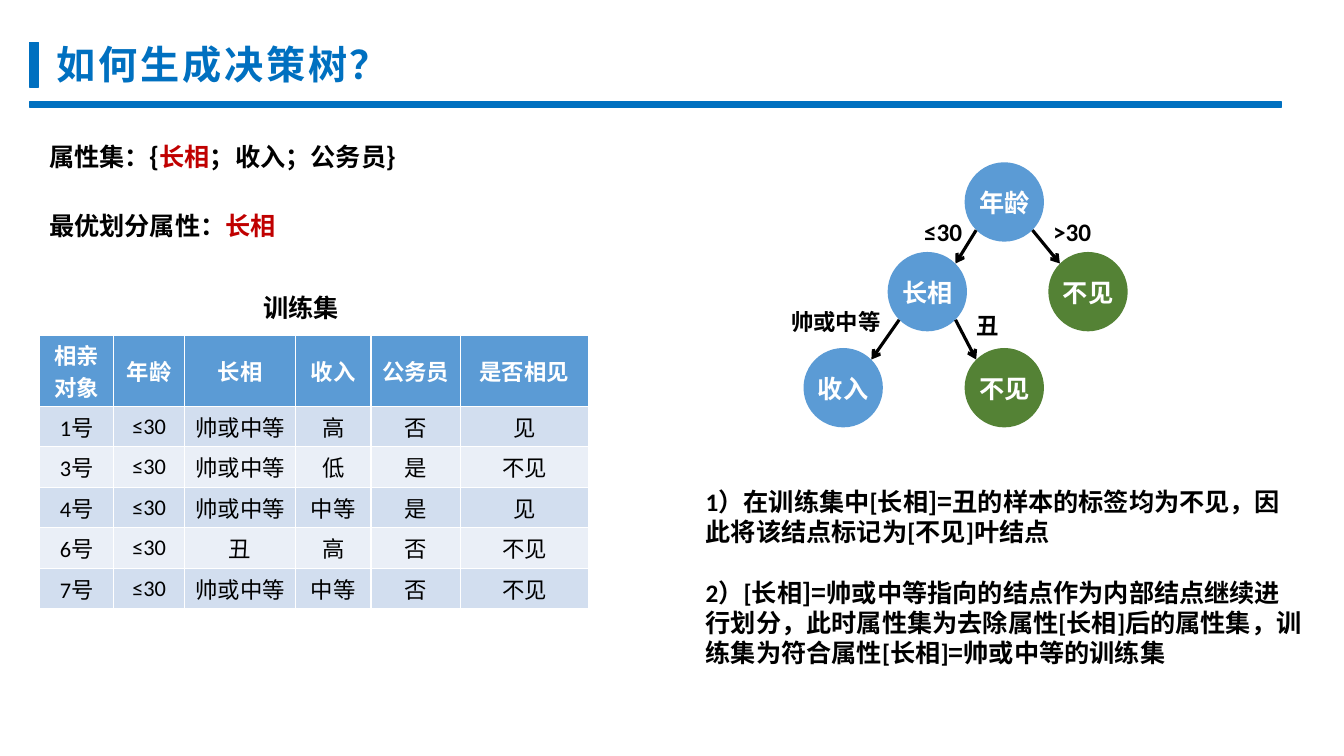
import pptx
import pptx.util
import pptx.dml.color
import pptx.enum.dml
import pptx.enum.lang
import pptx.enum.shapes
import pptx.enum.text
import lxml.etree
from pptx.util import Cm, Pt
from pptx.dml.color import RGBColor

BLUE = RGBColor(0x00, 0x70, 0xC0)
SKY = RGBColor(0x5B, 0x9B, 0xD5)
GREEN = RGBColor(0x54, 0x82, 0x35)
RED = RGBColor(0xC0, 0x00, 0x00)
BLACK = RGBColor(0, 0, 0)
WHITE = RGBColor(0xFF, 0xFF, 0xFF)
BANDS = [RGBColor(0xEA, 0xEF, 0xF7), RGBColor(0xD2, 0xDE, 0xEF)]
LATIN = "Calibri"
HAN = "Noto Sans CJK SC"
ALIGN = pptx.enum.text.PP_ALIGN
ANCHOR = pptx.enum.text.MSO_ANCHOR
SHAPE = pptx.enum.shapes.MSO_SHAPE
NS = "{http://schemas.openxmlformats.org/drawingml/2006/main}"


def write(par, text, size=18, color=BLACK, bold=True, face=LATIN, line=22):
    run = par.add_run()
    run.text = text
    font = run.font
    font.size = Pt(size)
    font.bold = bold
    font.color.rgb = color
    font.name = face
    font.language_id = pptx.enum.lang.MSO_LANGUAGE_ID.SIMPLIFIED_CHINESE
    mark = run._r.get_or_add_rPr()
    mark.find(NS + "latin").addnext(mark.makeelement(NS + "ea", {"typeface": HAN}))
    if line:
        par.line_spacing = Pt(line)
    return run


def add_box(left, top, width, height, wrap=False):
    frame = slide.shapes.add_textbox(Cm(left), Cm(top), Cm(width), Cm(height)).text_frame
    frame.word_wrap = wrap
    return frame.paragraphs[0]


deck = pptx.Presentation()
deck.slide_width = Cm(33.87)
deck.slide_height = Cm(19.05)
slide = deck.slides.add_slide(deck.slide_layouts[1])

for left, top, width, height in [(0.74, 1.07, 0.23, 1.12), (0.74, 2.57, 31.55, 0.13)]:
    bar = slide.shapes.add_shape(SHAPE.RECTANGLE, Cm(left), Cm(top), Cm(width), Cm(height))
    bar.shadow.inherit = False
    bar.fill.solid()
    bar.fill.fore_color.rgb = BLUE
    bar.line.color.rgb = BLUE
    bar.line.width = Pt(1)

title = slide.shapes.title
title.left, title.top, title.width, title.height = Cm(1.17), Cm(0.89), Cm(12), Cm(1.45)
frame = title.text_frame
frame.auto_size = pptx.enum.text.MSO_AUTO_SIZE.NONE
frame.vertical_anchor = ANCHOR.MIDDLE
frame.paragraphs[0].alignment = ALIGN.LEFT
run = write(frame.paragraphs[0], "如何生成决策树？", size=28, color=BLUE, face=HAN, line=None)
run._r.get_or_add_rPr().set("spc", "200")

par = add_box(0.99, 3.43, 9.53, 1.02, wrap=True)
write(par, "属性集：{", face=HAN)
write(par, "长相", color=RED, face=HAN)
write(par, "；收入；公务员}", face=HAN)
par = add_box(0.99, 5.16, 6.53, 1.02)
write(par, "最优划分属性：")
write(par, "长相", color=RED, face=HAN)
write(add_box(6.38, 7.24, 2.54, 1.02), "训练集")

notes = [
    [("1）在训练集中[长相", LATIN), ("]=丑", HAN),
     ("的样本的标签均为不见，因此将该结点标记为[不见]叶结点", LATIN)],
    [("2）[长相", LATIN), ("]=帅或中等", HAN),
     ("指向的结点作为内部结点继续进行划分，此时属性集为去除属性[长相]后的属性集，训练集为符合属性[长相]", LATIN),
     ("=帅或中等", HAN), ("的训练集", LATIN)],
]
body = slide.placeholders[1]
body.left, body.top, body.width, body.height = Cm(17.53), Cm(12.12), Cm(15.54), Cm(4.88)
frame = body.text_frame
frame.auto_size = pptx.enum.text.MSO_AUTO_SIZE.NONE
for i, parts in enumerate(notes):
    par = frame.add_paragraph() if i else frame.paragraphs[0]
    props = par._p.get_or_add_pPr()
    props.set("marL", "0")
    props.set("indent", "0")
    lxml.etree.SubElement(props, NS + "buNone")
    par.space_before = Pt(22 * i)
    for text, face in parts:
        write(par, text, face=face, line=21.6)

SIZE = 2
nodes = [
    ("年龄", 25.31, 5.09, SKY),
    ("长相", 23.37, 7.35, SKY),
    ("不见", 27.42, 7.35, GREEN),
    ("收入", 21.25, 9.77, SKY),
    ("不见", 25.31, 9.77, GREEN),
]
for text, x, y, color in nodes:
    node = slide.shapes.add_shape(
        SHAPE.OVAL, Cm(x - SIZE / 2), Cm(y - SIZE / 2), Cm(SIZE), Cm(SIZE))
    node.shadow.inherit = False
    node.fill.solid()
    node.fill.fore_color.rgb = color
    node.line.fill.background()
    frame = node.text_frame
    frame.word_wrap = False
    frame.margin_left = frame.margin_right = frame.margin_top = frame.margin_bottom = 0
    frame.vertical_anchor = ANCHOR.MIDDLE
    frame.paragraphs[0].alignment = ALIGN.CENTER
    write(frame.paragraphs[0], text, color=WHITE)

edge = SIZE / 2 * 0.71
for start, end in [(0, 1), (0, 2), (1, 3), (1, 4)]:
    x1, y1 = nodes[start][1:3]
    x2, y2 = nodes[end][1:3]
    shift = edge if x2 > x1 else -edge
    arrow = slide.shapes.add_connector(
        pptx.enum.shapes.MSO_CONNECTOR.STRAIGHT,
        Cm(x1 + shift), Cm(y1 + edge), Cm(x2 - shift), Cm(y2 - edge))
    arrow.line.color.rgb = BLACK
    arrow.line.width = Pt(2.25)
    lxml.etree.SubElement(arrow.line._get_or_add_ln(), NS + "tailEnd", type="arrow")
    lxml.etree.SubElement(arrow._element.spPr, NS + "effectLst")

labels = [
    ("≤30", 23.04, 5.31, 1.57, 18),
    (">30", 26.29, 5.31, 1.57, 18),
    ("帅或中等", 19.69, 7.62, 2.77, 16),
    ("丑", 24.36, 7.72, 1.04, 16),
]
for text, left, top, width, size in labels:
    write(add_box(left, top, width, 1), text, size=size, line=size * 1.22)

rows = [
    ["相亲对象", "年龄", "长相", "收入", "公务员", "是否相见"],
    ["1号", "≤30", "帅或中等", "高", "否", "见"],
    ["3号", "≤30", "帅或中等", "低", "是", "不见"],
    ["4号", "≤30", "帅或中等", "中等", "是", "见"],
    ["6号", "≤30", "丑", "高", "否", "不见"],
    ["7号", "≤30", "帅或中等", "中等", "否", "不见"],
]
widths = [1.88, 1.78, 2.8, 1.9, 2.25, 3.23]
table = slide.shapes.add_table(
    len(rows), len(widths), Cm(0.99), Cm(8.46), Cm(sum(widths)), Cm(6.86)).table
for column, width in zip(table.columns, widths):
    column.width = Cm(width)
for r, row in enumerate(rows):
    table.rows[r].height = Cm(1.02 if r else 1.78)
    for c, text in enumerate(row):
        cell = table.cell(r, c)
        cell.fill.solid()
        cell.fill.fore_color.rgb = BANDS[r % 2] if r else SKY
        cell.vertical_anchor = ANCHOR.MIDDLE
        cell.margin_top = cell.margin_bottom = Cm(0.06)
        par = cell.text_frame.paragraphs[0]
        par.alignment = ALIGN.CENTER
        write(par, text, size=16, color=BLACK if r else WHITE, bold=r == 0, line=None)

deck.save("out.pptx")
